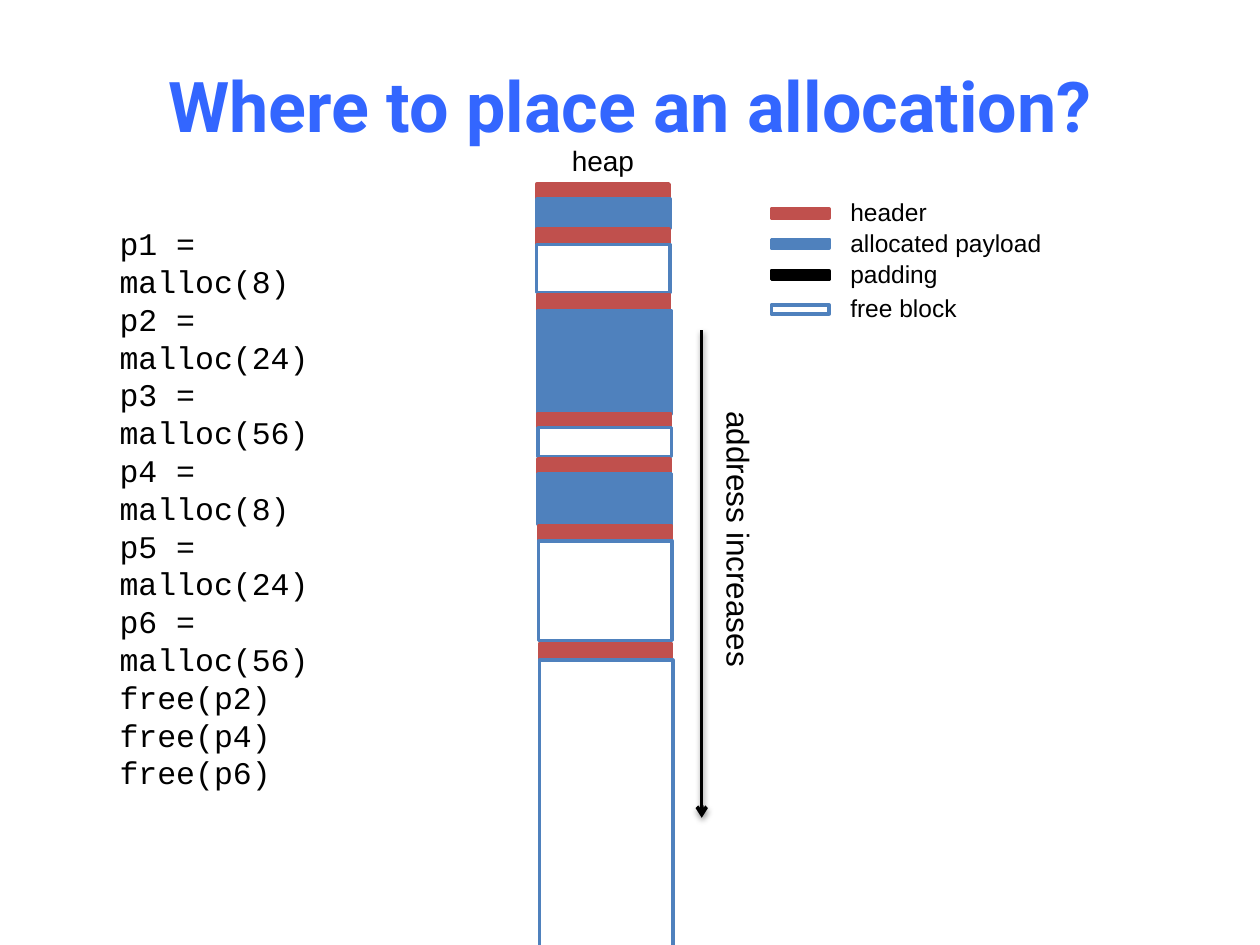
import pptx
import pptx.util
import pptx.dml.color
import pptx.enum.shapes
import pptx.enum.text
from lxml import etree

Pt = pptx.util.Pt
RED, BLUE, BLACK, WHITE = "C0504D", "4F81BD", "000000", "FFFFFF"
A_NS = "http://schemas.openxmlformats.org/drawingml/2006/main"
ARROW_SHADOW = (
    f'<a:effectLst xmlns:a="{A_NS}">'
    '<a:outerShdw blurRad="39370" dist="20320" dir="5400000" rotWithShape="0">'
    '<a:srgbClr val="000000"><a:alpha val="38000"/></a:srgbClr>'
    '</a:outerShdw></a:effectLst>')

CODE = ["p1 = malloc(8)", "p2 = malloc(24)", "p3 = malloc(56)",
        "p4 = malloc(8)", "p5 = malloc(24)", "p6 = malloc(56)",
        "free(p2)", "free(p4)", "free(p6)"]

# left, header top, body top, body height, body fill
HEAP_BLOCKS = [
    (306.7, 105.1, 113.8, 16.6, BLUE),
    (306.7, 131, 139.7, 27.4, WHITE),
    (307.1, 168.5, 177.5, 59, BLUE),
    (307.4, 236.2, 244.4, 16.6, WHITE),
    (307.4, 262.1, 270.7, 28.8, BLUE),
    (307.8, 300.2, 309, 56.9, WHITE),
    (308.2, 367.9, 377.3, 164.9, WHITE),
]

# label, fill, line, swatch top, label width
LEGEND = [
    ("header", RED, RED, 119.5, 59),
    ("allocated payload", BLUE, BLUE, 136.8, 124.6),
    ("padding", BLACK, BLACK, 154.8, 64.8),
    ("free block", WHITE, BLUE, 174.4, 77),
]


def rgb(value):
    return pptx.dml.color.RGBColor.from_string(value)


class SlideBuilder:
    font = "Arial"
    title_font = "Roboto"
    code_font = "Courier New"
    line_width = 2

    def __init__(self, prs):
        self.slide = prs.slides.add_slide(prs.slide_layouts[5])

    def format_runs(self, tf, size, font, color=BLACK, bold=False):
        for p in tf.paragraphs:
            for r in p.runs:
                r.font.size = Pt(size)
                r.font.name = font
                r.font.bold = bold
                r.font.color.rgb = rgb(color)

    def title(self, text, x, y, w, h):
        sp = self.slide.shapes.title
        sp.left, sp.top, sp.width, sp.height = Pt(x), Pt(y), Pt(w), Pt(h)
        tf = sp.text_frame
        tf.text = text
        tf.vertical_anchor = pptx.enum.text.MSO_ANCHOR.MIDDLE
        tf.paragraphs[0].alignment = pptx.enum.text.PP_ALIGN.CENTER
        self.format_runs(tf, 40, self.title_font, "3366FF", True)

    def text(self, text, x, y, w, h, size, rotation=0):
        sp = self.slide.shapes.add_textbox(Pt(x), Pt(y), Pt(w), Pt(h))
        sp.rotation = rotation
        tf = sp.text_frame
        tf.text = text
        tf.word_wrap = False
        self.format_runs(tf, size, self.font)
        return tf

    def code(self, lines, x, y, w, h):
        tf = self.text("\n".join(lines), x, y, w, h, 18)
        tf.word_wrap = True
        self.format_runs(tf, 18, self.code_font)
        for p in tf.paragraphs:
            p.line_spacing = Pt(21.6)

    def rect(self, x, y, w, h, fill, line):
        sp = self.slide.shapes.add_shape(
            pptx.enum.shapes.MSO_SHAPE.RECTANGLE, Pt(x), Pt(y), Pt(w), Pt(h))
        sp.shadow.inherit = False
        sp.fill.solid()
        sp.fill.fore_color.rgb = rgb(fill)
        sp.line.color.rgb = rgb(line)
        sp.line.width = Pt(self.line_width)

    def arrow(self, x1, y1, x2, y2):
        cxn = self.slide.shapes.add_connector(
            pptx.enum.shapes.MSO_CONNECTOR.STRAIGHT,
            Pt(x1), Pt(y1), Pt(x2), Pt(y2))
        cxn.line.color.rgb = rgb(BLACK)
        cxn.line.width = Pt(self.line_width)
        ln = cxn.line._get_or_add_ln()
        etree.SubElement(ln, f"{{{A_NS}}}tailEnd", type="arrow")
        ln.getparent().append(etree.fromstring(ARROW_SHADOW))


def main():
    prs = pptx.Presentation()
    prs.slide_width, prs.slide_height = Pt(720), Pt(540)
    s = SlideBuilder(prs)

    s.title("Where to place an allocation?", 36, 15, 648, 90)
    s.code(CODE, 61.2, 124.6, 164.2, 331)

    s.text("heap", 319.7, 78.5, 50.4, 26.6, 16)
    for x, header_top, body_top, body_height, fill in HEAP_BLOCKS:
        s.rect(x, header_top, 75.6, 8.6, RED, RED)
        s.rect(x, body_top, 76.3, body_height, fill, BLUE)

    for label, fill, line, top, width in LEGEND:
        s.rect(440.8, top, 33.1, 5, fill, line)
        s.text(label, 478.8, top - 10.3, width, 24.5, 14)

    s.arrow(401, 188.6, 401, 467.3)
    s.text("address increases", 341.3, 294.5, 162, 28.8, 18, 90)

    prs.save("out.pptx")


if __name__ == "__main__":
    main()
